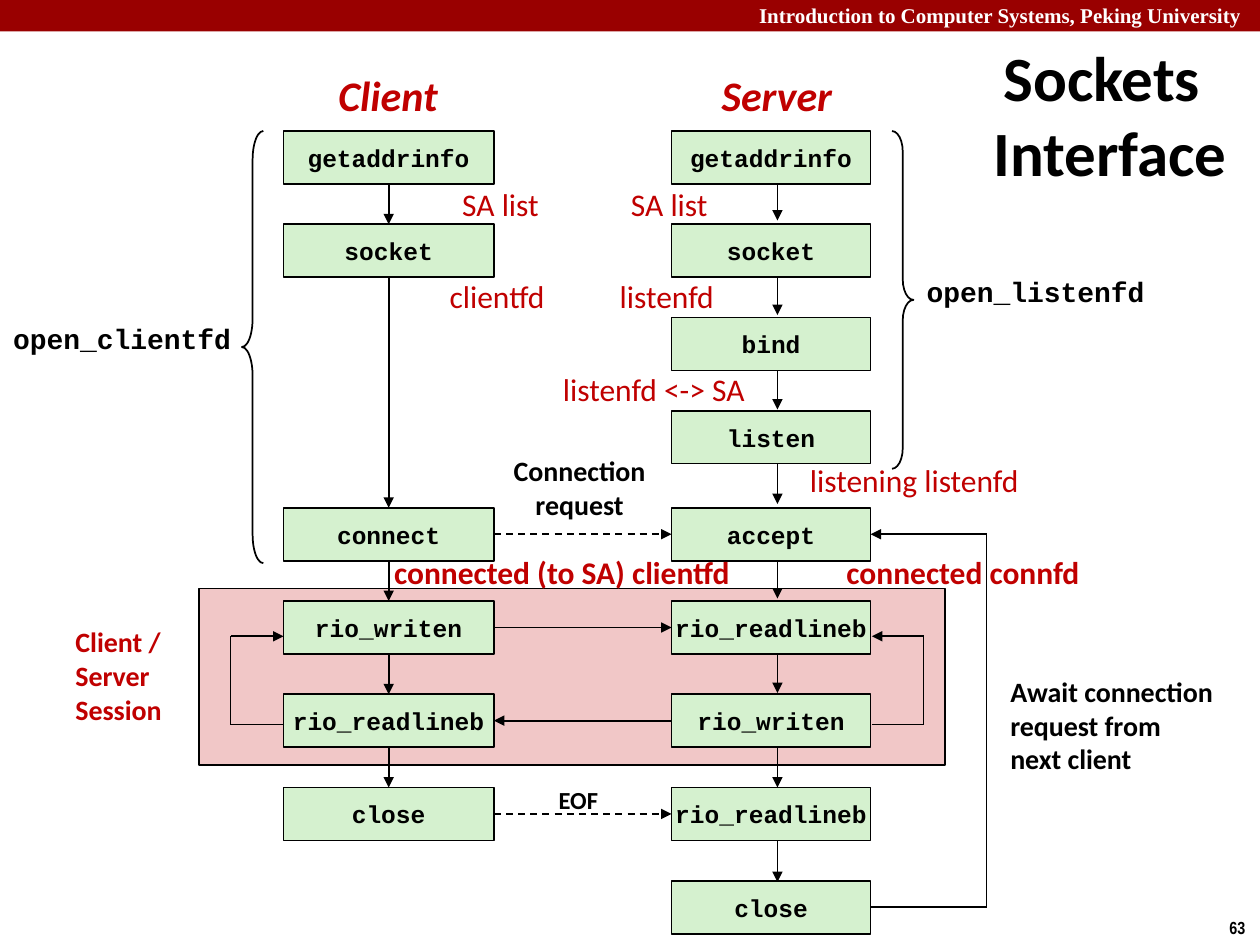
from lxml.etree import SubElement
from pptx import Presentation
from pptx.dml.color import RGBColor
from pptx.enum.dml import MSO_LINE
from pptx.enum.shapes import MSO_CONNECTOR, MSO_SHAPE
from pptx.enum.text import MSO_ANCHOR, MSO_AUTO_SIZE, PP_ALIGN
from pptx.oxml.ns import qn
from pptx.util import Inches, Pt

COLORS = {
    "black": "000000", "white": "FFFFFF", "banner": "990000",
    "red": "C00000", "session": "F1C7C7", "call": "D5F1CF",
}
BOTTOM, LEFT, RIGHT, TOP = 2, 1, 3, 0


class Diagram:
    sans = "Calibri"
    mono = "Courier New"

    def __init__(self, slide):
        self.slide = slide

    def color(self, name):
        return RGBColor.from_string(COLORS[name])

    def set_text(self, frame, text, size, font=None, color="black", bold=True,
                 italic=False, align=PP_ALIGN.LEFT):
        frame.text = text
        for paragraph in frame.paragraphs:
            paragraph.alignment = align
            paragraph.font.name = font or self.sans
            paragraph.font.size = Pt(size)
            paragraph.font.bold = bold
            paragraph.font.italic = italic
            paragraph.font.color.rgb = self.color(color)

    def title(self, text, left, top, width, height):
        title = self.slide.shapes.title
        title.left, title.top = Inches(left), Inches(top)
        title.width, title.height = Inches(width), Inches(height)
        frame = title.text_frame
        self.set_text(frame, text, 36, align=PP_ALIGN.CENTER)
        frame.auto_size = MSO_AUTO_SIZE.NONE
        frame.vertical_anchor = MSO_ANCHOR.MIDDLE
        properties = frame.paragraphs[0]._p.get_or_add_pPr()
        properties.set("marL", str(Inches(0.13)))
        properties.set("indent", str(-Inches(0.13)))

    def label(self, text, left, top, width, height, size, wrap=False,
              anchor=MSO_ANCHOR.MIDDLE, **style):
        box = self.slide.shapes.add_textbox(
            Inches(left), Inches(top), Inches(width), Inches(height))
        frame = box.text_frame
        frame.word_wrap = wrap
        frame.auto_size = MSO_AUTO_SIZE.SHAPE_TO_FIT_TEXT
        frame.vertical_anchor = anchor
        self.set_text(frame, text, size, **style)

    def shape(self, kind, left, top, width, height, fill=None, line="black"):
        shape = self.slide.shapes.add_shape(
            kind, Inches(left), Inches(top), Inches(width), Inches(height))
        shape.shadow.inherit = False
        if fill:
            shape.fill.solid()
            shape.fill.fore_color.rgb = self.color(fill)
        else:
            shape.fill.background()
        if line:
            shape.line.color.rgb = self.color(line)
            shape.line.width = Pt(1)
        else:
            shape.line.fill.background()
        return shape

    def call(self, name, left, top, width):
        box = self.shape(MSO_SHAPE.RECTANGLE, left, top, width, 0.42, "call")
        frame = box.text_frame
        frame.word_wrap = False
        frame.vertical_anchor = MSO_ANCHOR.MIDDLE
        self.set_text(frame, name, 14, font=self.mono, align=PP_ALIGN.CENTER)
        return box

    def brace(self, kind, left, top, height, curve):
        brace = self.shape(kind, left, top, 0.17, height)
        brace.adjustments[0] = curve

    def line(self, start=(0, 0), end=(0, 0), head=True, dashed=False,
             source=None, target=None):
        line = self.slide.shapes.add_connector(
            MSO_CONNECTOR.STRAIGHT, *(Inches(v) for v in (*start, *end)))
        if source:
            line.begin_connect(*source)
        if target:
            line.end_connect(*target)
        line.line.color.rgb = self.color("black")
        line.line.width = Pt(1)
        if dashed:
            line.line.dash_style = MSO_LINE.DASH
        if head:
            SubElement(line.line._get_or_add_ln(), qn("a:tailEnd"), type="triangle")
        SubElement(line._element.spPr, qn("a:effectLst"))

    def loop(self, side, outer, bottom, top, source=None, target=None):
        self.line((side, bottom), (outer, bottom), head=False, source=source)
        self.line((outer, bottom), (outer, top), head=False)
        self.line((outer, top), (side, top), target=target)


def row_top(row):
    return 1.04 + 0.74 * row + (0.03 if row > 3 else 0)


def main():
    presentation = Presentation()
    presentation.slide_width, presentation.slide_height = Inches(10), Inches(7.5)
    slide = presentation.slides.add_slide(presentation.slide_layouts[5])
    diagram = Diagram(slide)

    diagram.shape(MSO_SHAPE.RECTANGLE, 0, 0, 10, 0.25, "banner", None)
    diagram.label("Introduction to Computer Systems, Peking University",
                  4.75, -0.03, 5.2, 0.3, 12, wrap=True, anchor=MSO_ANCHOR.TOP,
                  font="Times New Roman", color="white", align=PP_ALIGN.RIGHT)
    diagram.label("63", 9.66, 7.23, 0.34, 0.27, 10, anchor=MSO_ANCHOR.TOP,
                  font="Arial Narrow")
    diagram.title("Sockets Interface", 7.58, 0.25, 2.33, 1.31)

    diagram.shape(MSO_SHAPE.RECTANGLE, 1.58, 4.67, 5.92, 1.4, "session")
    diagram.label("Client / Server\nSession", 0.5, 4.94, 0.92, 0.84, 16,
                  wrap=True, color="red")
    for side, outer in ((6.92, 7.33), (2.25, 1.83)):
        diagram.loop(side, outer, 5.75, 5.05)

    for role, left, width in (("Client", 2.58, 1), ("Server", 5.62, 1.09)):
        diagram.label(role, left, 0.5, width, 0.5, 24, color="red",
                      italic=True, align=PP_ALIGN.CENTER)

    for row in range(8):
        start = 1.41 + 0.75 * row
        diagram.line((6.17, start), (6.17, start + 0.34))

    client_calls = {0: "getaddrinfo", 1: "socket", 4: "connect",
                    5: "rio_writen", 6: "rio_readlineb", 7: "close"}
    server_calls = ["getaddrinfo", "socket", "bind", "listen", "accept",
                    "rio_readlineb", "rio_writen", "rio_readlineb", "close"]
    client = {row: diagram.call(name, 2.25, row_top(row), 1.67)
              for row, name in client_calls.items()}
    server = [diagram.call(name, 5.33, row_top(row), 1.58)
              for row, name in enumerate(server_calls)]

    steps = list(client.values())
    for upper, lower in zip(steps, steps[1:]):
        diagram.line(source=(upper, BOTTOM), target=(lower, TOP))
    for row, dashed in ((4, True), (5, False), (7, True)):
        diagram.line(source=(client[row], RIGHT), target=(server[row], LEFT),
                     dashed=dashed)
    diagram.line(source=(server[6], LEFT), target=(client[6], RIGHT))
    diagram.loop(6.91, 7.83, row_top(8) + 0.21, row_top(4) + 0.21,
                 source=(server[8], RIGHT), target=(server[4], RIGHT))

    diagram.label("Connection\nrequest", 3.97, 3.55, 1.26, 0.64, 16,
                  align=PP_ALIGN.CENTER)
    diagram.label("EOF", 4.33, 6.18, 0.52, 0.34, 14, align=PP_ALIGN.CENTER)
    diagram.label("Await connection\nrequest from\nnext client",
                  7.92, 5.3, 1.83, 0.91, 16)

    diagram.brace(MSO_SHAPE.RIGHT_BRACE, 7.08, 1.04, 2.68, 0.96)
    diagram.brace(MSO_SHAPE.LEFT_BRACE, 1.92, 1.04, 3.43, 1.33)
    for helper, left, top in (("open_listenfd", 7.25, 2.13),
                              ("open_clientfd", 0, 2.5)):
        diagram.label(helper, left, top, 1.94, 0.37, 16, font=diagram.mono,
                      align=PP_ALIGN.CENTER)

    for state, left, top, width, bold in (
        ("listening listenfd", 6.33, 3.61, 1.92, False),
        ("connected connfd", 6.62, 4.34, 2.14, True),
        ("connected (to SA) clientfd", 3.03, 4.34, 2.91, True),
        ("SA list", 3.57, 1.42, 0.81, False),
        ("SA list", 4.91, 1.42, 0.87, False),
        ("clientfd", 3.47, 2.15, 0.99, False),
        ("listenfd", 4.82, 2.15, 0.96, False),
        ("listenfd <-> SA", 4.37, 2.89, 1.66, False),
    ):
        diagram.label(state, left, top, width, 0.4, 18, anchor=MSO_ANCHOR.TOP,
                      color="red", bold=bold)

    presentation.save("out.pptx")


if __name__ == "__main__":
    main()
